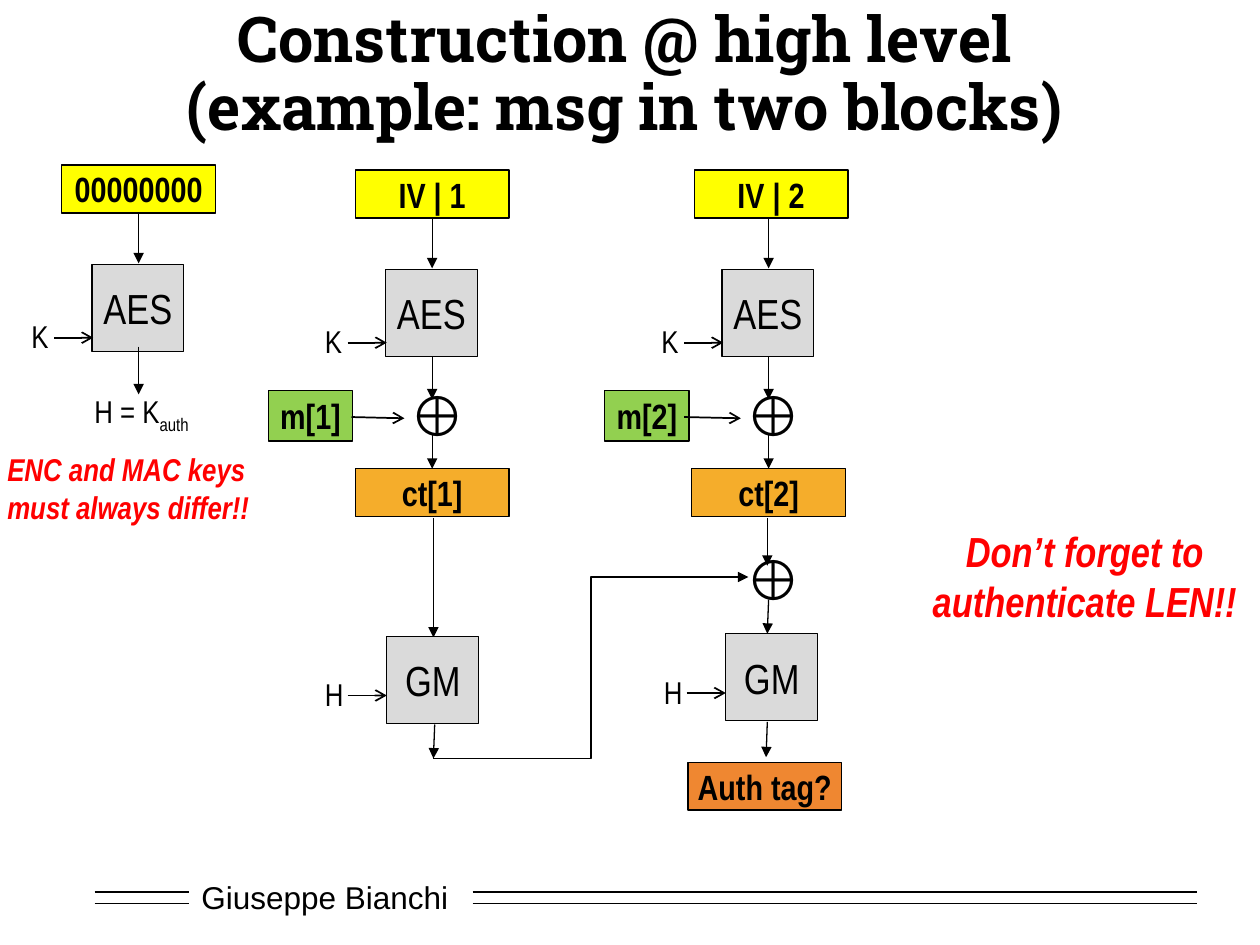
import pptx
import pptx.dml.color
import pptx.enum.shapes
import pptx.enum.text
import pptx.oxml.ns
import pptx.util
from lxml import etree

Inches, Pt = pptx.util.Inches, pptx.util.Pt
ALIGN = pptx.enum.text.PP_ALIGN
ANCHOR = pptx.enum.text.MSO_ANCHOR
CONNECTOR = pptx.enum.shapes.MSO_CONNECTOR
qn = pptx.oxml.ns.qn

BLACK, WHITE, RED = "000000", "FFFFFF", "FF0000"
YELLOW, GRAY, GREEN = "FFFF00", "DADADA", "92D050"
AMBER, ORANGE = "F5AD2B", "EF8731"


def rgb(value):
    return pptx.dml.color.RGBColor.from_string(value)


class Diagram:
    font = "Arial Narrow"

    def __init__(self, slide):
        self.slide = slide

    def style(self, p, size, color=BLACK, bold=False, italic=False, font=None, align=None):
        p.font.size, p.font.name = Pt(size), font or self.font
        p.font.bold, p.font.italic = bold, italic
        p.font.color.rgb = rgb(color)
        p.alignment = align

    def title(self, text, x, y, w, h):
        sp = self.slide.shapes.title
        sp.left, sp.top, sp.width, sp.height = map(Inches, (x, y, w, h))
        tf = sp.text_frame
        tf.text = text
        tf.auto_size = pptx.enum.text.MSO_AUTO_SIZE.NONE
        tf.vertical_anchor = ANCHOR.MIDDLE
        p = tf.paragraphs[0]
        p.line_spacing = 0.9
        self.style(p, 36, bold=True, font="Roboto Slab", align=ALIGN.CENTER)

    def box(self, text, x, y, w, h, fill, size=20, bold=True):
        sp = self.slide.shapes.add_shape(
            pptx.enum.shapes.MSO_SHAPE.RECTANGLE, *map(Inches, (x, y, w, h)))
        sp.shadow.inherit = False
        sp.fill.solid()
        sp.fill.fore_color.rgb = rgb(fill)
        sp.line.color.rgb = rgb(BLACK)
        sp.line.width = Pt(0.75)
        tf = sp.text_frame
        tf.text = text
        tf.word_wrap = False
        tf.vertical_anchor = ANCHOR.MIDDLE
        self.style(tf.paragraphs[0], size, bold=bold, align=ALIGN.CENTER)

    def bar(self, text, x, y, fill):
        self.box(text, x, y, 1.22, 0.38, fill)

    def block(self, text, x, y):
        self.box(text, x, y, 0.73, 0.69, GRAY, 24, False)

    def label(self, text, x, y, w, h, size=18, wrap=True, **style):
        sp = self.slide.shapes.add_textbox(*map(Inches, (x, y, w, h)))
        tf = sp.text_frame
        tf.text = text
        tf.word_wrap = wrap
        for p in tf.paragraphs:
            self.style(p, size, **style)
        return sp

    def xor(self, x, y):
        self.label("⊕", x, y, 0.55, 0.64, 32)

    def line(self, x1, y1, x2, y2, head=None, width=1, kind=CONNECTOR.STRAIGHT):
        cx = self.slide.shapes.add_connector(kind, *map(Inches, (x1, y1, x2, y2)))
        cx.line.color.rgb = rgb(BLACK)
        cx.line.width = Pt(width)
        if head:
            etree.SubElement(cx.line._get_or_add_ln(), qn("a:tailEnd"), type=head)
        etree.SubElement(cx._element.spPr, qn("a:effectLst"))

    def flow(self, x1, y1, x2, y2):
        self.line(x1, y1, x2, y2, "triangle", 0.75)

    def key_input(self, text, x, y):
        """Key letter with an arrow that ends at the block edge x."""
        self.line(x - 0.31, y, x, y, "arrow")
        self.label(text, x - 0.59, y - 0.21, 0.25, 0.4)


def main():
    prs = pptx.Presentation()
    prs.slide_width, prs.slide_height = Inches(10), Inches(7.5)
    s = prs.slides.add_slide(prs.slide_layouts[5])
    d = Diagram(s)

    # Footer with double rules
    footer = d.label("Giuseppe Bianchi", 1.5, 6.92, 2.17, 0.4, font="Arial")
    footer.text_frame.vertical_anchor = ANCHOR.MIDDLE
    for y in (7.08, 7.17):
        for x1, x2 in ((0.75, 1.5), (3.75, 9.5)):
            d.line(x1, y, x2, y)

    d.title("Construction @ high level\v(example: msg in two blocks)", 0.75, 0.25, 8.42, 0.71)

    # Authentication key derivation
    d.block("AES", 0.73, 2.1)
    d.flow(1.1, 2.75, 1.1, 3.13)
    d.flow(1.1, 1.59, 1.1, 2.09)
    d.key_input("K", 0.74, 2.68)
    d.bar("00000000", 0.49, 1.31, YELLOW)
    p = d.label("H = K", 0.65, 3.06, 1.06, 0.4).text_frame.paragraphs[0]
    r = p.add_run()
    r.text = "auth"
    r._r.get_or_add_rPr().set("baseline", "-25000")

    # Encryption of each message block: column centre, IV box left, message arrow start
    for n, (x, iv_x, msg_x) in enumerate(((3.43, 2.82, 2.79), (6.1, 5.51, 5.43)), 1):
        d.box(f"m[{n}]", x - 1.3, 3.1, 0.67, 0.4, GREEN)
        d.flow(x, 2.79, x, 3.17)
        d.flow(x, 1.63, x, 2.13)
        d.bar(f"ct[{n}]", x - 0.61, 3.72, AMBER)
        d.block("AES", x - 0.37, 2.14)
        d.key_input("K", x - 0.36, 2.72)
        d.bar(f"IV | {n}", iv_x, 1.35, YELLOW)
        d.xor(x - 0.28, 2.97)
        d.flow(x, 3.44, x, 3.72)
        d.line(msg_x, 3.31, x - 0.22, 3.32, "arrow")

    # Authentication chain
    d.flow(6.09, 4.11, 6.09, 4.49)
    d.xor(5.82, 4.27)
    d.flow(6.1, 4.76, 6.09, 5.03)
    d.flow(3.44, 4.11, 3.44, 5.06)
    for x, y in ((3.07, 5.05), (5.76, 5.03)):
        d.block("GM", x, y)
        d.key_input("H", x, y + 0.47)
    d.flow(3.45, 5.75, 3.44, 6.02)
    d.line(3.44, 6.02, 5.94, 4.58, "triangle", kind=CONNECTOR.ELBOW)
    d.flow(6.09, 5.73, 6.08, 6.01)
    d.bar("Auth tag?", 5.46, 6.05, ORANGE)

    # Warnings
    warning = dict(wrap=False, color=RED, bold=True, italic=True)
    d.label("ENC and MAC keys\nmust always differ!!", -0.04, 3.52, 2.17, 0.71, **warning)
    d.label("Don’t forget to\nauthenticate LEN!!", 7.25, 4.12, 2.72, 0.91, 24,
            align=ALIGN.CENTER, **warning)

    prs.save("out.pptx")


if __name__ == "__main__":
    main()
